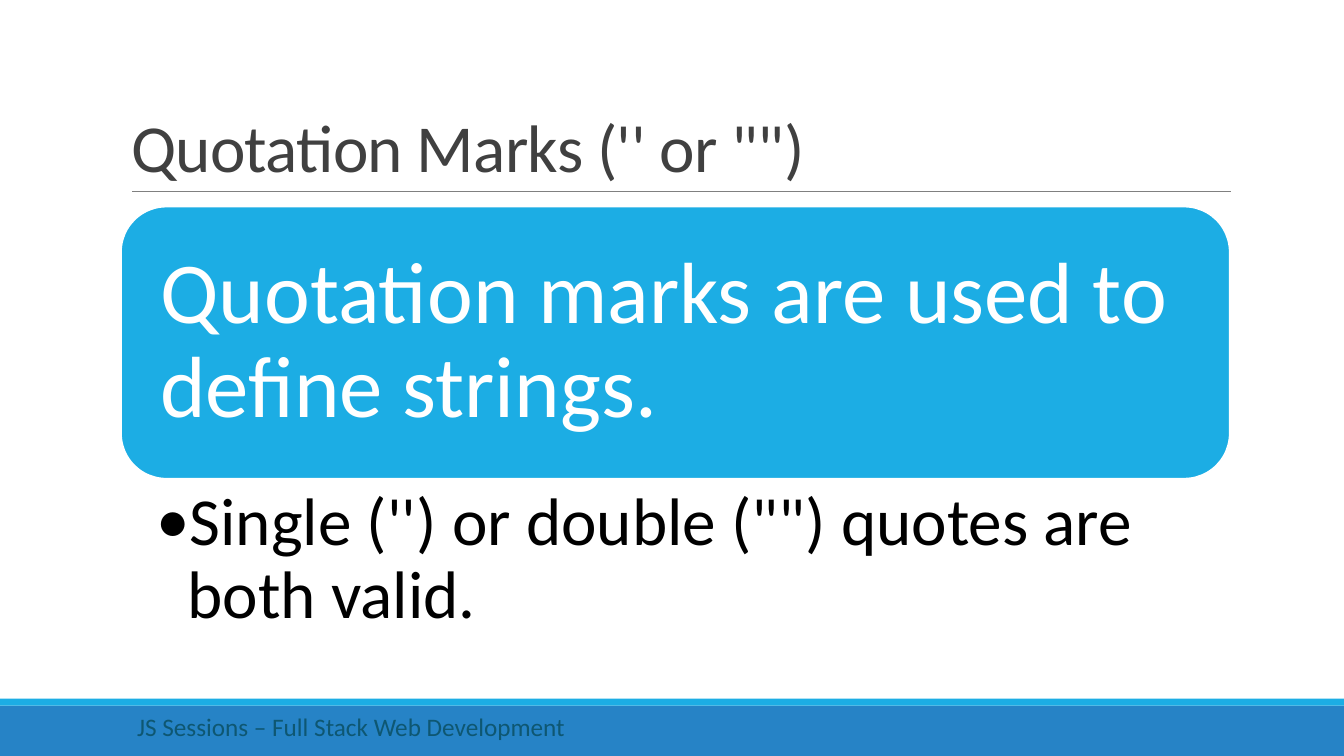
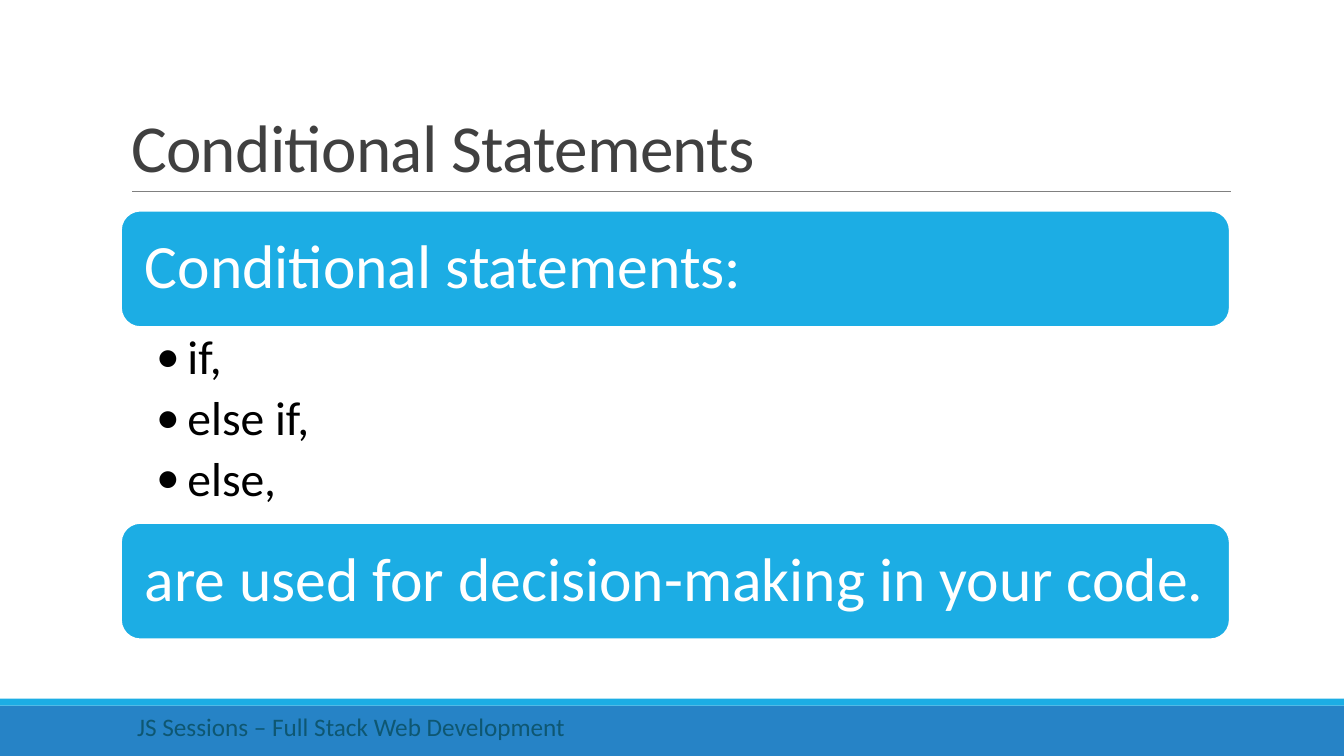
from lxml import etree
from pptx import Presentation
from pptx.dml.color import RGBColor
from pptx.enum.shapes import MSO_CONNECTOR, MSO_SHAPE
from pptx.enum.text import MSO_ANCHOR, MSO_AUTO_SIZE, PP_ALIGN
from pptx.oxml.ns import qn
from pptx.util import Inches, Pt

STRAIGHT = MSO_CONNECTOR.STRAIGHT
RECT, ROUNDED = MSO_SHAPE.RECTANGLE, MSO_SHAPE.ROUNDED_RECTANGLE
TOP, MIDDLE, BOTTOM = MSO_ANCHOR.TOP, MSO_ANCHOR.MIDDLE, MSO_ANCHOR.BOTTOM
NO_FIT = MSO_AUTO_SIZE.NONE
LEFT = PP_ALIGN.LEFT
TITLE_ONLY = 5
FONT = "Calibri"
SKY, BLUE, WHITE, BLACK = "1CADE4", "2683C6", "FFFFFF", "000000"
CHARCOAL, GREY, TEAL = "404040", "808080", "0E5772"
GRID = 100
MARGIN, CONTENT = 9, 82.5
FOOTER = "JS Sessions – Full Stack Web Development"


def color(code):
    """Turn a hex string into a colour."""
    return RGBColor.from_string(code)


class Deck:
    """Holds the shared style, the current slide and the next free row."""

    def __init__(self):
        """Start a widescreen presentation with a grid of cells."""
        self.prs = Presentation()
        self.prs.slide_width, self.prs.slide_height = Inches(13.33), Inches(7.5)
        self.slide = None
        self.row = 0

    def box(self, left, top, width, height):
        """Convert columns and rows to slide lengths."""
        col, row = self.prs.slide_width / GRID, self.prs.slide_height / GRID
        return [round(v) for v in (left * col, top * row, width * col, height * row)]

    def fill_text(self, shape, lines, size, code, anchor, insets, spacing=1.0, after=0):
        """Fill a shape with left-aligned paragraphs in one style."""
        frame = shape.text_frame
        sides = ("margin_left", "margin_top", "margin_right", "margin_bottom")
        layout = {"word_wrap": True, "auto_size": NO_FIT, "vertical_anchor": anchor}
        layout.update(zip(sides, map(Inches, insets)))
        for name, value in layout.items():
            setattr(frame, name, value)
        frame.text = "\n".join(lines)
        for paragraph in frame.paragraphs:
            formats = {"alignment": LEFT, "line_spacing": spacing, "space_after": Pt(after)}
            for name, value in formats.items():
                setattr(paragraph, name, value)
            font = paragraph.runs[0].font
            for name, value in {"name": FONT, "size": Pt(size)}.items():
                setattr(font, name, value)
            font.color.rgb = color(code)
        return frame.paragraphs

    def block(self, kind, area, fill, border=None):
        """Draw a flat filled shape."""
        shape = self.slide.shapes.add_shape(kind, *self.box(*area))
        shape.shadow.inherit = False
        shape.fill.solid()
        shape.fill.fore_color.rgb = color(fill)
        if border:
            shape.line.color.rgb = color(border)
            shape.line.width = Pt(1.25)
        else:
            shape.line.fill.background()
        return shape

    def rule(self, start, end, row):
        """Draw the thin line below the title."""
        left, top, right, _ = self.box(start, row, end, 0)
        line = self.slide.shapes.add_connector(STRAIGHT, left, top, right, top)
        line.line.color.rgb = color(GREY)
        line.line.width = Pt(0.5)
        etree.SubElement(line._element.spPr, qn("a:effectLst"))

    def textbox(self, area):
        """Add an empty text box."""
        return self.slide.shapes.add_textbox(*self.box(*area))

    def new_slide(self, title, first_row):
        """Add a slide with bands, footer, rule and title."""
        self.slide = self.prs.slides.add_slide(self.prs.slide_layouts[TITLE_ONLY])
        self.row = first_row
        self.block(RECT, (0, 93.33, GRID, 6.67), BLUE)
        self.block(RECT, (0, 92.4, GRID, 0.93), SKY)
        self.rule(9.83, 91.58, 25.33)
        heading = self.slide.shapes.title
        area = self.box(MARGIN, 4.13, CONTENT, 21.2)
        for name, value in zip(("left", "top", "width", "height"), area):
            setattr(heading, name, value)
        insets = (0.1, 0.05, 0.1, 0.05)
        paragraphs = self.fill_text(heading, [title], 48, CHARCOAL, BOTTOM, insets, 0.85)
        paragraphs[0].runs[0].font._element.set("spc", "-50")
        footer = self.textbox((MARGIN, 93.47, 58.33, 5.33))
        self.fill_text(footer, [FOOTER], 18, TEAL, TOP, (0.16, 0.05, 0.1, 0.05))

    def card(self, text, height, size, inset):
        """Stack a rounded card with a statement."""
        shape = self.block(ROUNDED, (MARGIN, self.row, CONTENT, height), SKY, WHITE)
        self.fill_text(shape, [text], size, WHITE, MIDDLE, [inset] * 4, 0.9)
        self.row += height

    def bullets(self, items, height, size, inset):
        """Stack a bulleted list."""
        shape = self.textbox((MARGIN, self.row, CONTENT, height))
        insets = (0.35, inset, 0.48, inset)
        for paragraph in self.fill_text(shape, items, size, BLACK, TOP, insets, 0.9, size * 0.2):
            props = paragraph._p.get_or_add_pPr()
            for name, value in {"marL": Inches(0.31), "indent": -Inches(0.31)}.items():
                props.set(name, str(value))
            etree.SubElement(props, qn("a:buFont"), typeface=FONT)
            etree.SubElement(props, qn("a:buChar"), char="•")
        self.row += height


def main():
    """Build both slides and save them."""
    deck = Deck()
    deck.new_slide("Quotation Marks ('' or \"\")", 27.33)
    deck.card("Quotation marks are used to define strings.", 36, 62, 0.26)
    deck.bullets(["Single ('') or double (\"\") quotes are both valid."], 22, 48, 0.09)

    deck.new_slide("Conditional Statements", 27.87)
    deck.card("Conditional statements:", 15.4, 44, 0.18)
    deck.bullets(["if,", "else if,", "else,"], 25.9, 34, 0.06)
    deck.card("are used for decision-making in your code.", 15.4, 44, 0.18)
    deck.prs.save("out.pptx")


if __name__ == "__main__":
    main()
